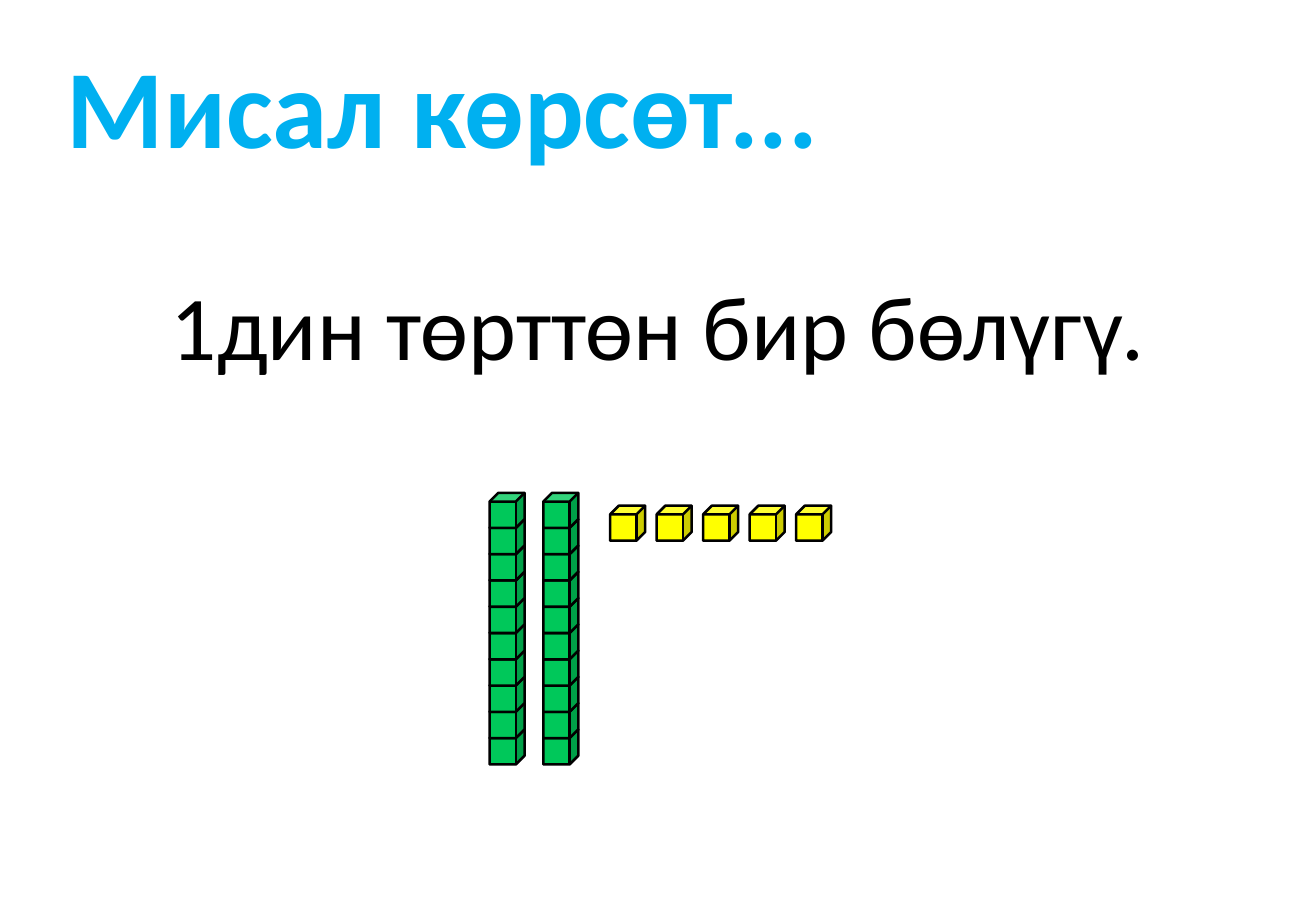
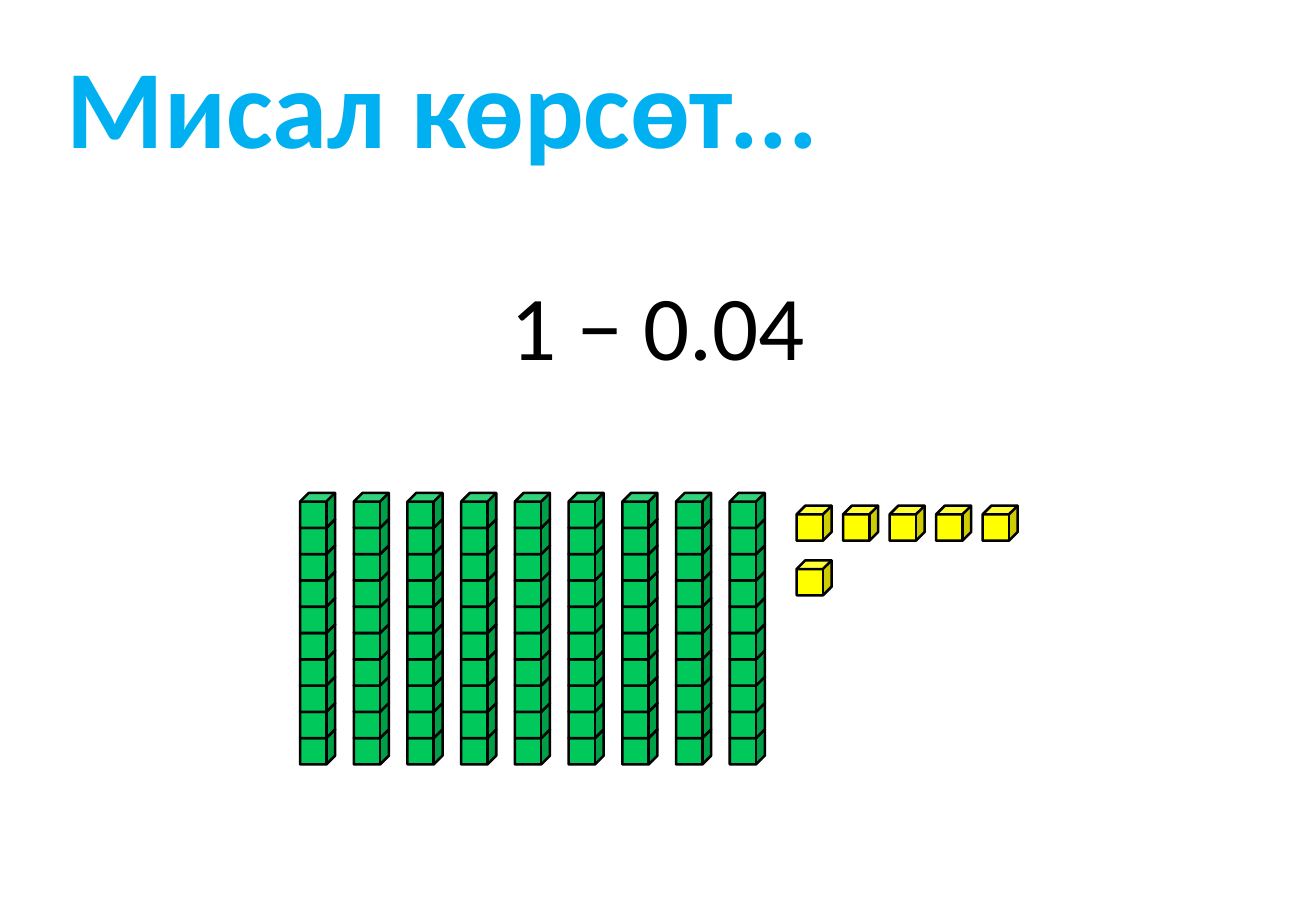
from pptx import Presentation
from pptx.dml.color import RGBColor as Rgb
from pptx.enum.shapes import MSO_SHAPE as Shape
from pptx.enum.text import MSO_ANCHOR as Anchor, MSO_AUTO_SIZE as Auto, PP_ALIGN as Align
from pptx.util import Inches, Pt

deck = Presentation()
deck.slide_width, deck.slide_height = Inches(10.83), Inches(7.5)
W, H = deck.slide_width, deck.slide_height

GREEN, YELLOW, BLUE, BLACK = "00C85A", "FFFF00", "00B0F0", "000000"
EDGE = H / 26
STEP = EDGE * 0.75
ROD_COL = W / 24.5
ONE_COL, ONE_ROW = W / 28.3, H * 0.06
ROD_TOP, ONE_TOP = H * 0.541, H * 0.555
GAP = W * 0.01


def cube(group, left, top, tint):
    box = group.shapes.add_shape(Shape.CUBE, int(left), int(top), int(EDGE), int(EDGE))
    box.shadow.inherit = False
    box.fill.solid()
    box.fill.fore_color.rgb = Rgb.from_string(tint)
    box.line.color.rgb = Rgb.from_string(BLACK)
    box.line.width = Pt(1.5)


def write(shape, text, size, tint, bold, align):
    frame = shape.text_frame
    frame.text = text
    frame.vertical_anchor = Anchor.TOP
    line = frame.paragraphs[0]
    line.alignment = align
    font = line.runs[0].font
    font.name, font.size, font.bold = "Calibri", Pt(size), bold
    font.color.rgb = Rgb.from_string(tint)
    return frame


TASKS = [
    ("1дин төрттөн бир бөлүгү.", 0.77, 0.372, 2, 5),
    ("1 − 0.04", 0.245, 0.228, 9, 6),
]

for text, share, start, rods, ones in TASKS:
    slide = deck.slides.add_slide(deck.slide_layouts[5])

    title = slide.shapes.title
    title.left, title.top = Inches(0.24), Inches(0.26)
    title.width, title.height = Inches(7.54), Inches(1.21)
    frame = write(title, "Мисал көрсөт...", 66, BLUE, True, Align.LEFT)
    frame.margin_left = Inches(0.31)
    frame.auto_size = Auto.NONE

    wide = W * share
    label = slide.shapes.add_textbox(int((W - wide) / 2), Inches(2.17), int(wide), Inches(1.01))
    frame = write(label, text, 54, BLACK, False, Align.CENTER)
    frame.word_wrap = False
    frame.auto_size = Auto.SHAPE_TO_FIT_TEXT

    left = W * start
    for rod in range(rods):
        group = slide.shapes.add_group_shape()
        for row in reversed(range(10)):
            cube(group, left + rod * ROD_COL, ROD_TOP + row * STEP, GREEN)

    left += rods * ROD_COL + GAP
    group = slide.shapes.add_group_shape()
    for one in range(ones):
        row, col = divmod(one, 5)
        cube(group, left + col * ONE_COL, ONE_TOP + row * ONE_ROW, YELLOW)

deck.save("out.pptx")
